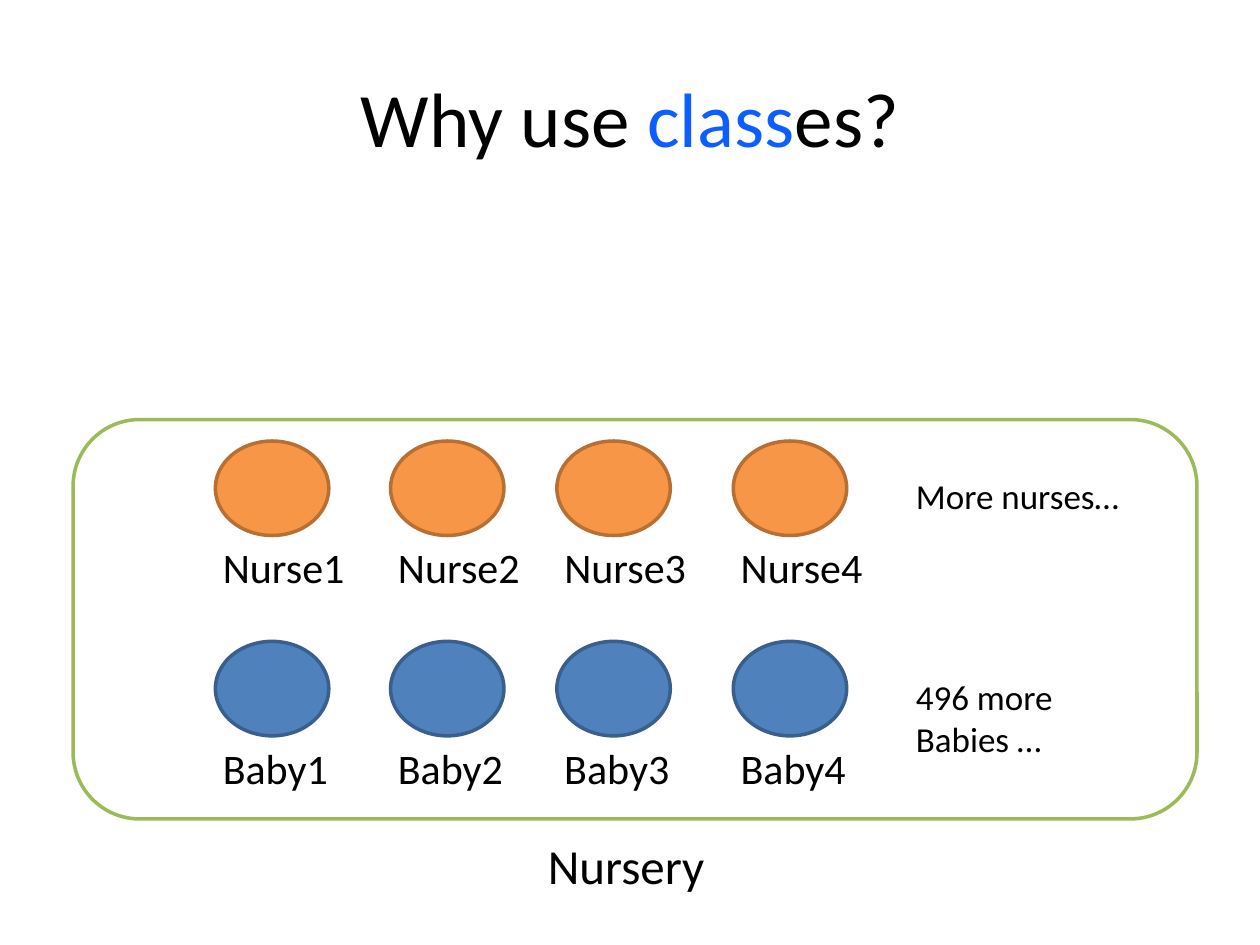
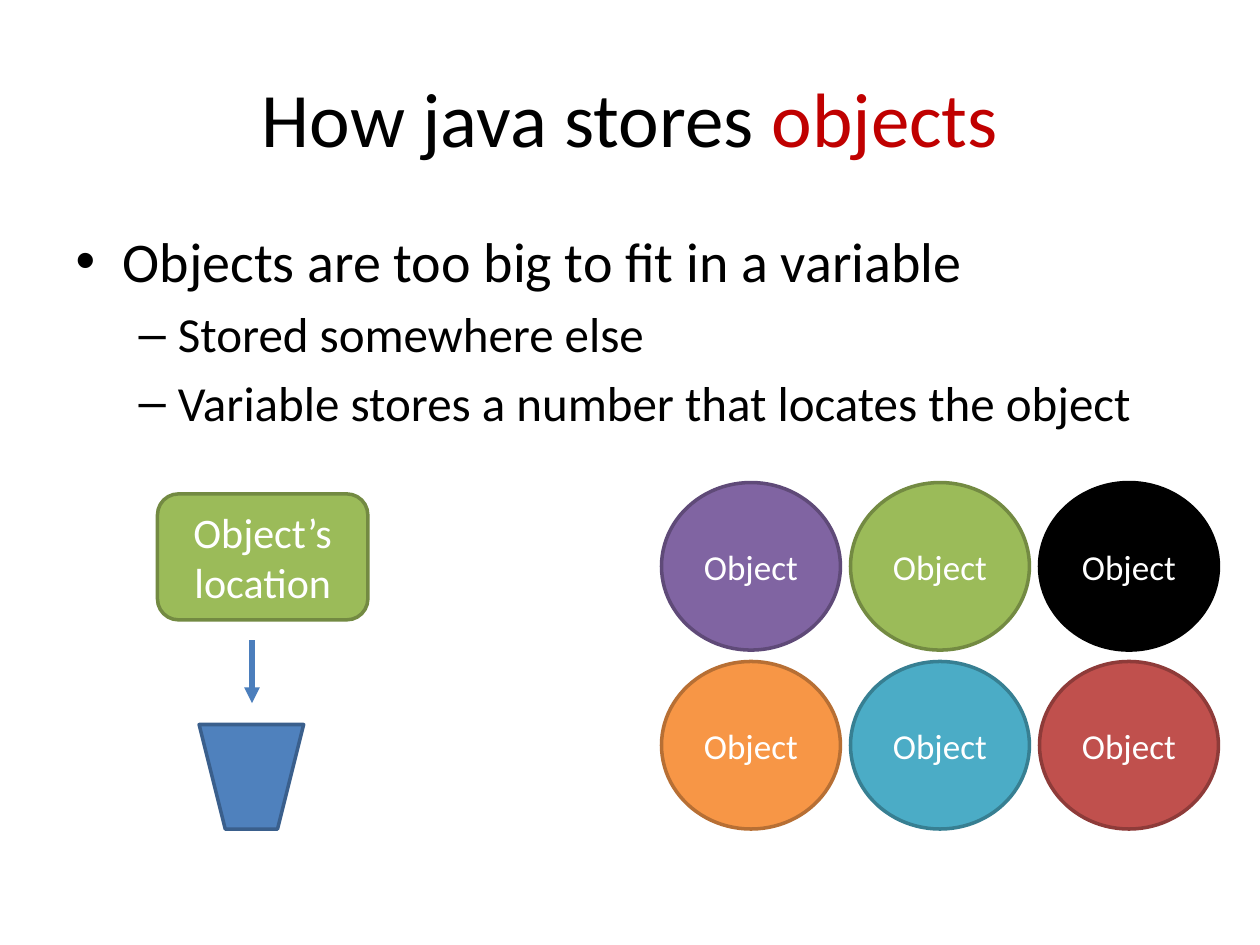
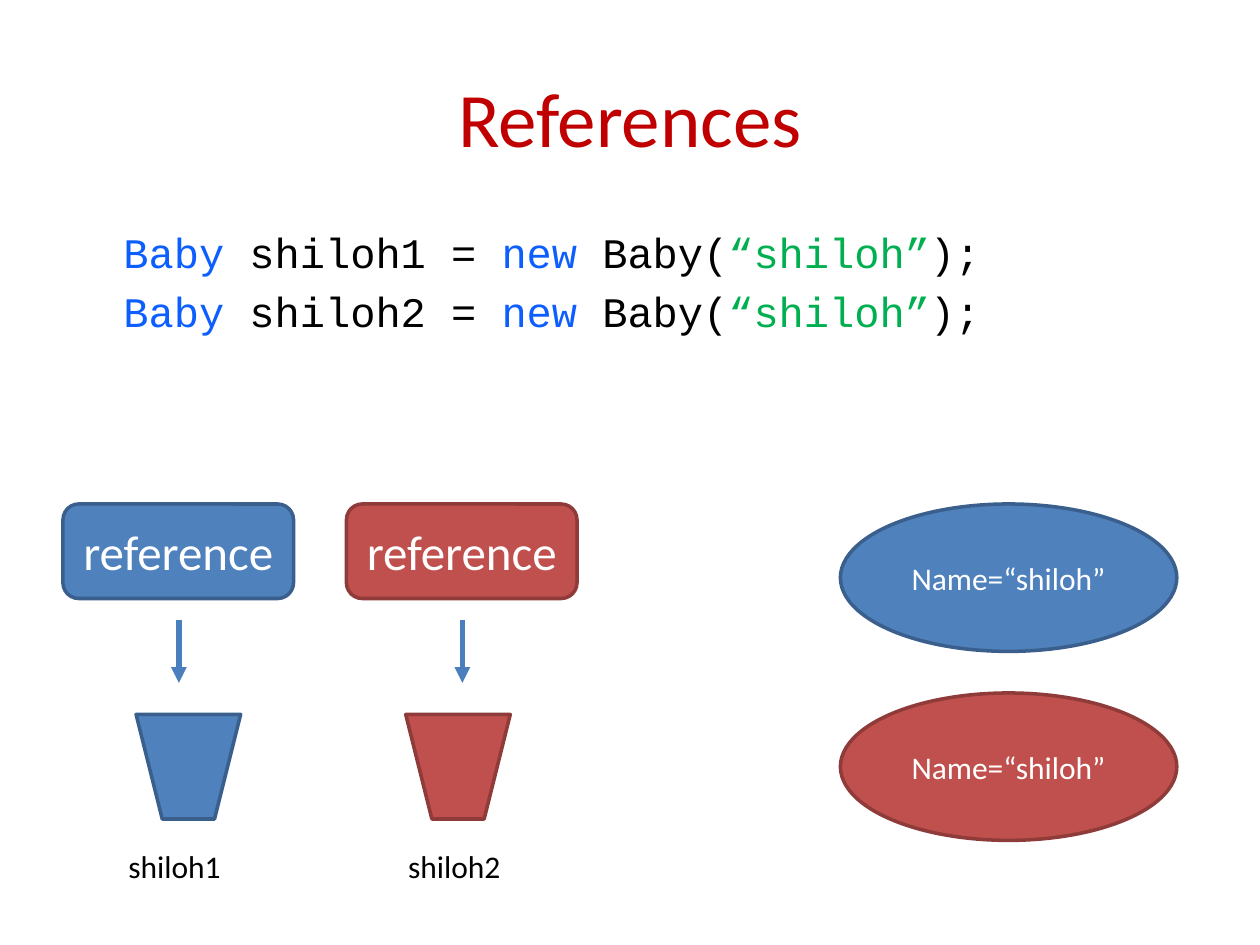
from pptx import Presentation
from pptx.dml.color import RGBColor
from pptx.enum.shapes import MSO_CONNECTOR, MSO_SHAPE
from pptx.enum.text import MSO_ANCHOR, MSO_AUTO_SIZE, PP_ALIGN
from pptx.oxml.ns import qn
from pptx.util import Inches, Pt
from lxml.etree import SubElement

BLACK, WHITE = "000000", "FFFFFF"
BLUE, RED, GREEN = "4F81BD", "C0504D", "9BBB59"
ORANGE, PURPLE, TEAL = "F79646", "8064A2", "4BACC6"
KEYWORD, ACCENT, STRING = "0D5EFF", "C00000", "00B050"
ARROW = "4B7EBC"
OUTLINES = {BLUE: "3A5F8C", RED: "8E3B39", GREEN: "738A42", ORANGE: "B76F34",
            PURPLE: "5F4A78", TEAL: "377F92", BLACK: BLACK}
TITLE_LAYOUT, TITLE_ONLY_LAYOUT = 1, 5


def paint(color_format, colour):
    color_format.rgb = RGBColor.from_string(colour)


def write_text(shape, paragraphs, size=None, colour=BLACK, font="Calibri",
               align=None, levels=None, code=False):
    frame = shape.text_frame
    for index, spans in enumerate(paragraphs):
        para = frame.paragraphs[0] if index == 0 else frame.add_paragraph()
        para.level = levels[index] if levels else 0
        if code:
            properties = para._p.get_or_add_pPr()
            properties.set("marL", str(Inches(0.38)))
            properties.set("indent", "0")
            SubElement(properties, qn("a:buNone"))
        if align is not None:
            para.alignment = align
        for text, span_colour in [(spans, colour)] if isinstance(spans, str) else spans:
            span = para.add_run()
            span.text = text
            span.font.name = font
            if size:
                span.font.size = Pt(size)
            paint(span.font.color, span_colour)


def place(shape, left, top, width, height):
    shape.left, shape.top = Inches(left), Inches(top)
    shape.width, shape.height = Inches(width), Inches(height)


def add_page(deck, layout, title):
    page = deck.slides.add_slide(deck.slide_layouts[layout])
    place(page.shapes.title, 0.5, 0.3, 9, 1.25)
    page.shapes.title.text_frame.vertical_anchor = MSO_ANCHOR.MIDDLE
    write_text(page.shapes.title, [title], size=44, align=PP_ALIGN.CENTER)
    return page


def add_body(page, paragraphs, **text_format):
    body = page.placeholders[1]
    place(body, 0.5, 1.75, 9, 4.95)
    write_text(body, paragraphs, **text_format)


def add_figure(page, kind, left, top, width, height, fill, outline=None,
               text=None, size=20):
    figure = page.shapes.add_shape(kind, Inches(left), Inches(top),
                                   Inches(width), Inches(height))
    figure.shadow.inherit = False
    figure.fill.solid()
    paint(figure.fill.fore_color, fill)
    paint(figure.line.color, outline or OUTLINES[fill])
    figure.line.width = Pt(2)
    if text:
        figure.text_frame.vertical_anchor = MSO_ANCHOR.MIDDLE
        write_text(figure, [text], size=size, colour=WHITE, align=PP_ALIGN.CENTER)
    return figure


def add_label(page, left, top, width, height, *lines, size, wrap=False):
    box = page.shapes.add_textbox(Inches(left), Inches(top),
                                  Inches(width), Inches(height))
    box.text_frame.word_wrap = wrap
    box.text_frame.auto_size = MSO_AUTO_SIZE.SHAPE_TO_FIT_TEXT
    write_text(box, lines, size=size)


def add_down_arrow(page, left, top):
    arrow = page.shapes.add_connector(MSO_CONNECTOR.STRAIGHT, Inches(left), Inches(top),
                                      Inches(left), Inches(top + 0.5))
    paint(arrow.line.color, ARROW)
    arrow.line.width = Pt(3)
    SubElement(arrow.line._get_or_add_ln(), qn("a:tailEnd"), type="triangle")
    SubElement(arrow._element.spPr, qn("a:effectLst"))


def add_cup(page, left, top, fill):
    cup = add_figure(page, MSO_SHAPE.TRAPEZOID, left, top, 0.83, 0.83, fill)
    cup.rotation = 180


def add_people(page, name, top, label_width, fill):
    for number, left in enumerate((1.71, 3.1, 4.42, 5.82), start=1):
        add_figure(page, MSO_SHAPE.OVAL, left, top, 0.9, 0.75, fill)
        add_label(page, left - 0.04, top + 0.75, label_width, 0.5,
                  f"{name}{number}", size=24)


def build_classes_page(deck):
    page = add_page(deck, TITLE_ONLY_LAYOUT,
                    [("Why use ", BLACK), ("class", KEYWORD), ("es?", BLACK)])
    add_figure(page, MSO_SHAPE.ROUNDED_RECTANGLE, 0.58, 3.33, 8.92, 3.17,
               WHITE, outline=GREEN)
    add_people(page, "Baby", 5.09, 1.04, BLUE)
    add_label(page, 7.17, 5.31, 1.42, 0.77, "496 more", "Babies …", size=20, wrap=True)
    add_label(page, 4.25, 6.58, 1.46, 0.57, "Nursery", size=28)
    add_people(page, "Nurse", 3.5, 1.18, ORANGE)
    add_label(page, 7.17, 3.72, 1.92, 0.44, "More nurses…", size=20, wrap=True)


def build_objects_page(deck):
    page = add_page(deck, TITLE_LAYOUT, [("How java stores ", BLACK), ("objects", ACCENT)])
    add_body(page, ["Objects are too big to fit in a variable",
                    "Stored somewhere else",
                    "Variable stores a number that locates the object"],
             levels=(0, 1, 1))
    add_cup(page, 1.58, 5.75, BLUE)
    for index, fill in enumerate((PURPLE, GREEN, BLACK, ORANGE, TEAL, RED)):
        row, column = divmod(index, 3)
        add_figure(page, MSO_SHAPE.OVAL, 5.25 + 1.5 * column, 3.83 + 1.42 * row,
                   1.42, 1.33, fill, text="Object")
    add_figure(page, MSO_SHAPE.ROUNDED_RECTANGLE, 1.25, 3.92, 1.67, 1, GREEN,
               text="Object’s location", size=24)
    add_down_arrow(page, 2, 5.08)


def build_references_page(deck):
    page = add_page(deck, TITLE_LAYOUT, [("References", ACCENT)])
    variables = ("shiloh1", "shiloh2")
    add_body(page, [[("Baby", KEYWORD), (f" {variable} = ", BLACK), ("new", KEYWORD),
                     (" Baby(", BLACK), ("“shiloh”", STRING), (");", BLACK)]
                    for variable in variables],
             size=24, font="Courier New", code=True)
    columns = zip(variables, (BLUE, RED), (0.5, 2.75), (1.08, 3.22), (0.92, 3.14))
    for index, (variable, fill, left, cup_left, label_left) in enumerate(columns):
        add_figure(page, MSO_SHAPE.OVAL, 6.67, 4 + 1.5 * index, 2.67, 1.17, fill,
                   text="Name=“shiloh”", size=18)
        add_cup(page, cup_left, 5.67, fill)
        add_label(page, label_left, 6.67, 0.94, 0.4, variable, size=18)
        add_figure(page, MSO_SHAPE.ROUNDED_RECTANGLE, left, 4, 1.83, 0.75, fill,
                   text="reference", size=28)
        add_down_arrow(page, left + 0.92, 4.92)


def main():
    deck = Presentation()
    deck.slide_width, deck.slide_height = Inches(10), Inches(7.5)
    build_classes_page(deck)
    build_objects_page(deck)
    build_references_page(deck)
    deck.save("out.pptx")


if __name__ == "__main__":
    main()
